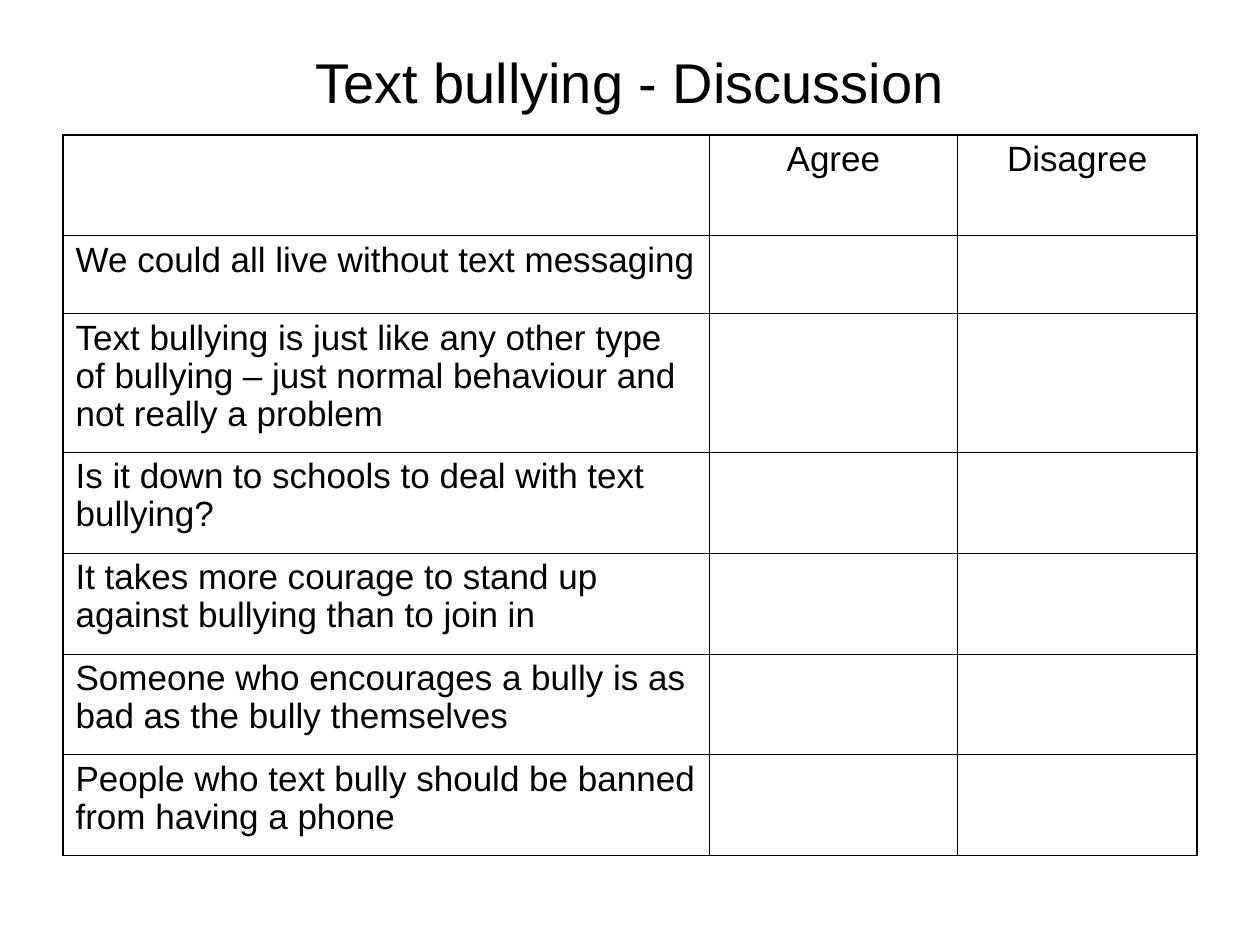
from dataclasses import dataclass

from lxml.etree import SubElement
from pptx import Presentation
from pptx.dml.color import RGBColor
from pptx.enum.text import MSO_ANCHOR, PP_ALIGN
from pptx.oxml.ns import qn
from pptx.util import Inches, Pt

TITLE = "Text bullying - Discussion"
ANSWERS = ["Agree", "Disagree"]
STATEMENTS = [
    "We could all live without text messaging",
    "Text bullying is just like any other type of bullying – "
    "just normal behaviour and not really a problem",
    "Is it down to schools to deal with text bullying?",
    "It takes more courage to stand up against bullying than to join in",
    "Someone who encourages a bully is as bad as the bully themselves",
    "People who text bully should be banned from having a phone",
]
COLUMN_WIDTHS = [5.13, 1.97, 1.9]
ROW_HEIGHTS = [0.8, 0.62, 1.1, 0.8, 0.8, 0.8, 0.8]


@dataclass(frozen=True)
class Theme:
    font: str = "Arial"
    ink: str = "000000"
    title_size: float = 32
    body_size: float = 20
    outer_line: float = 1.08
    inner_line: float = 0.45


THEME = Theme()


def style_paragraph(paragraph, size, alignment):
    paragraph.alignment = alignment
    paragraph.font.name = THEME.font
    paragraph.font.size = Pt(size)
    paragraph.font.color.rgb = RGBColor.from_string(THEME.ink)


def set_borders(cell, outer_edges):
    """Draw all four cell borders, heavier on the table's outer edges."""
    properties = cell._tc.get_or_add_tcPr()
    for position, edge in enumerate("LRTB"):
        width = THEME.outer_line if edge in outer_edges else THEME.inner_line
        line = SubElement(properties, qn(f"a:ln{edge}"), w=str(Pt(width)))
        fill = SubElement(line, qn("a:solidFill"))
        SubElement(fill, qn("a:srgbClr"), val=THEME.ink)
        properties.insert(position, line)  # borders precede the cell fill


def add_title(slide):
    title = slide.shapes.title
    title.left, title.top = Inches(0.5), Inches(0.3)
    title.width, title.height = Inches(9), Inches(0.69)
    title.text_frame.text = TITLE
    title.text_frame.vertical_anchor = MSO_ANCHOR.MIDDLE
    style_paragraph(title.text_frame.paragraphs[0], THEME.title_size, PP_ALIGN.CENTER)


def add_discussion_table(slide):
    rows = [["", *ANSWERS]] + [[statement, "", ""] for statement in STATEMENTS]
    last_row, last_column = len(rows) - 1, len(COLUMN_WIDTHS) - 1
    table = slide.shapes.add_table(
        len(rows), len(COLUMN_WIDTHS), Inches(0.5), Inches(1.07),
        Inches(sum(COLUMN_WIDTHS)), Inches(sum(ROW_HEIGHTS))).table
    table.first_row = table.horz_banding = False
    for column, width in zip(table.columns, COLUMN_WIDTHS):
        column.width = Inches(width)
    for row, height in zip(table.rows, ROW_HEIGHTS):
        row.height = Inches(height)

    for r, texts in enumerate(rows):
        for c, text in enumerate(texts):
            cell = table.cell(r, c)
            cell.text = text
            cell.margin_left = cell.margin_right = Inches(0.1)
            cell.margin_top = cell.margin_bottom = Inches(0.05)
            cell.fill.background()
            paragraph = cell.text_frame.paragraphs[0]
            style_paragraph(paragraph, THEME.body_size,
                            PP_ALIGN.CENTER if r == 0 else PP_ALIGN.LEFT)
            paragraph.space_before = Pt(5)
            paragraph.line_spacing = 0.97
            on_edge = {"L": c == 0, "R": c == last_column,
                       "T": r == 0, "B": r == last_row}
            set_borders(cell, [edge for edge, outer in on_edge.items() if outer])


def main():
    presentation = Presentation()
    presentation.slide_width, presentation.slide_height = Inches(10), Inches(7.5)
    slide = presentation.slides.add_slide(presentation.slide_layouts[5])
    add_title(slide)
    add_discussion_table(slide)
    presentation.save("out.pptx")


if __name__ == "__main__":
    main()
